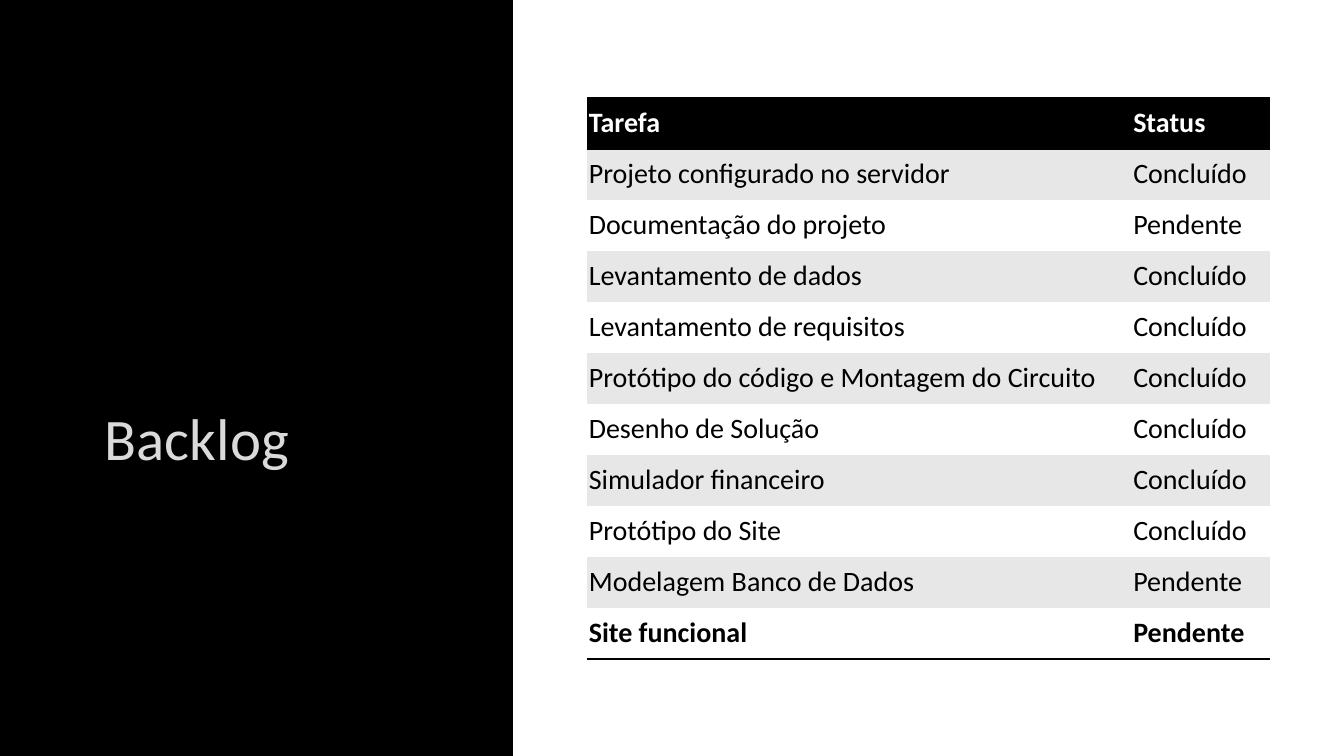
import pptx
import pptx.util
import pptx.dml.color
import pptx.enum.shapes
import pptx.enum.text
import pptx.oxml
import pptx.oxml.ns

SCALE = 9144  # EMU in one px, 100 px to the inch
FONT = "Calibri"
PLAIN = "{2D5ABB26-0587-4C30-8999-92F81FD0307C}"  # table style without grid
COLORS = {
    "black": "000000",
    "white": "FFFFFF",
    "band": "E7E7E7",
    "title": "DADADA",
    "edge": "404040",
}
TASKS = [
    ("Tarefa", "Status"),
    ("Projeto configurado no servidor", "Concluído"),
    ("Documentação do projeto", "Pendente"),
    ("Levantamento de dados", "Concluído"),
    ("Levantamento de requisitos", "Concluído"),
    ("Protótipo do código e Montagem do Circuito", "Concluído"),
    ("Desenho de Solução", "Concluído"),
    ("Simulador financeiro", "Concluído"),
    ("Protótipo do Site", "Concluído"),
    ("Modelagem Banco de Dados", "Pendente"),
    ("Site funcional", "Pendente"),
]


def px(size):
    return pptx.util.Emu(size * SCALE)


def color(name):
    return pptx.dml.color.RGBColor.from_string(COLORS[name])


def apply(item, values):
    for name, value in values.items():
        setattr(item, name, value)


def paint(fill, name):
    fill.solid()
    fill.fore_color.rgb = color(name)


def write(frame, text, size, tint, bold=False):
    run = frame.paragraphs[0].add_run()
    run.text = text
    apply(run.font, {"name": FONT, "size": pptx.util.Pt(size), "bold": bold})
    run.font.color.rgb = color(tint)
    return run


def line(tag, points, tint, alpha=100):
    return pptx.oxml.parse_xml(
        f'<a:{tag} {pptx.oxml.ns.nsdecls("a")} w="{int(points * 12700)}">'
        f'<a:solidFill><a:srgbClr val="{COLORS[tint]}">'
        f'<a:alpha val="{alpha * 1000}"/></a:srgbClr></a:solidFill>'
        f'<a:prstDash val="solid"/></a:{tag}>')


def add_title(slide, text):
    title = slide.shapes.title
    apply(title, {"left": px(94), "top": px(91),
                  "width": px(370), "height": px(383)})
    frame = title.text_frame
    apply(frame, {"word_wrap": True,
                  "auto_size": pptx.enum.text.MSO_AUTO_SIZE.NONE,
                  "vertical_anchor": pptx.enum.text.MSO_ANCHOR.BOTTOM})
    frame.paragraphs[0].alignment = pptx.enum.text.PP_ALIGN.LEFT
    run = write(frame, text, 42, "title")
    run.font._element.insert(0, line("ln", 0.75, "edge", 10))


def add_panel(slide):
    panel = slide.shapes.add_shape(
        pptx.enum.shapes.MSO_SHAPE.RECTANGLE, px(509), 0, px(824), px(750))
    panel.shadow.inherit = False
    paint(panel.fill, "white")
    panel.line.fill.background()


def fill_cell(cell, text, back, tint, bold, sides):
    apply(cell, {"margin_left": px(2), "margin_right": px(2),
                 "margin_top": px(2), "margin_bottom": px(9),
                 "vertical_anchor": pptx.enum.text.MSO_ANCHOR.BOTTOM})
    paint(cell.fill, back)
    write(cell.text_frame, text, 20, tint, bold)
    props = cell._tc.get_or_add_tcPr()
    for place, side in enumerate(sides):
        props.insert(place, line("ln" + side, 2, "black"))


def add_tasks(slide):
    table = slide.shapes.add_table(
        len(TASKS), 2, px(582), px(97), px(678), px(557)).table
    apply(table, {"first_row": False, "horz_banding": False})
    table._tbl.tblPr.find(pptx.oxml.ns.qn("a:tableStyleId")).text = PLAIN
    for column, width in zip(table.columns, (540, 138)):
        column.width = px(width)

    last = len(TASKS) - 1
    for row, texts in enumerate(TASKS):
        head = row == 0
        back = "black" if head else "band" if row % 2 else "white"
        tint = "white" if head else "black"
        sides = "TB" if head else "B" if row == last else ""
        for col, text in enumerate(texts):
            fill_cell(table.cell(row, col), text, back, tint,
                      row in (0, last), sides)


def main():
    deck = pptx.Presentation()
    apply(deck, {"slide_width": px(1333), "slide_height": px(750)})
    slide = deck.slides.add_slide(deck.slide_layouts[5])

    # Dark left side with the title
    paint(slide.background.fill, "black")
    add_title(slide, "Backlog")

    # White right side with the task list
    add_panel(slide)
    add_tasks(slide)
    deck.save("out.pptx")


if __name__ == "__main__":
    main()
